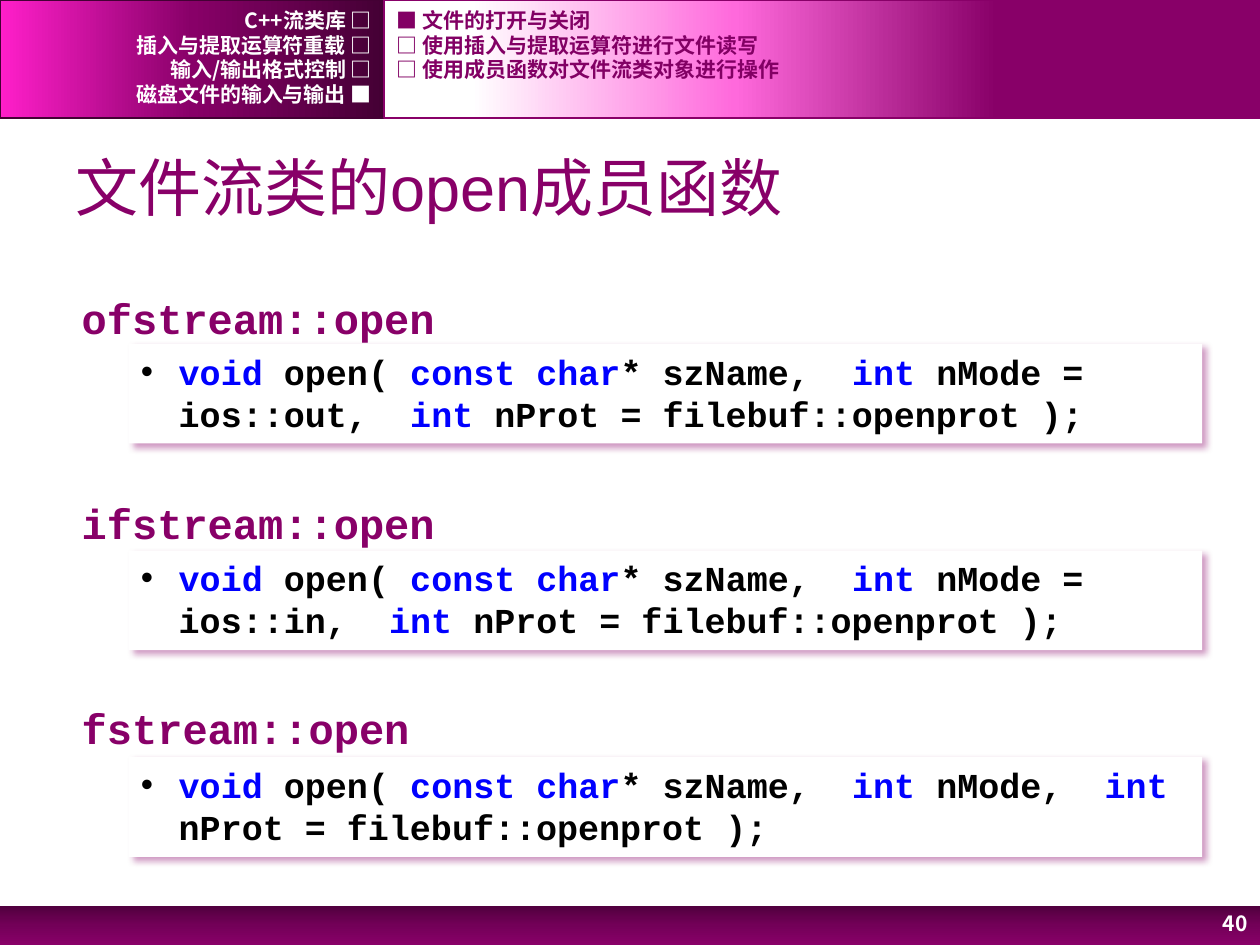
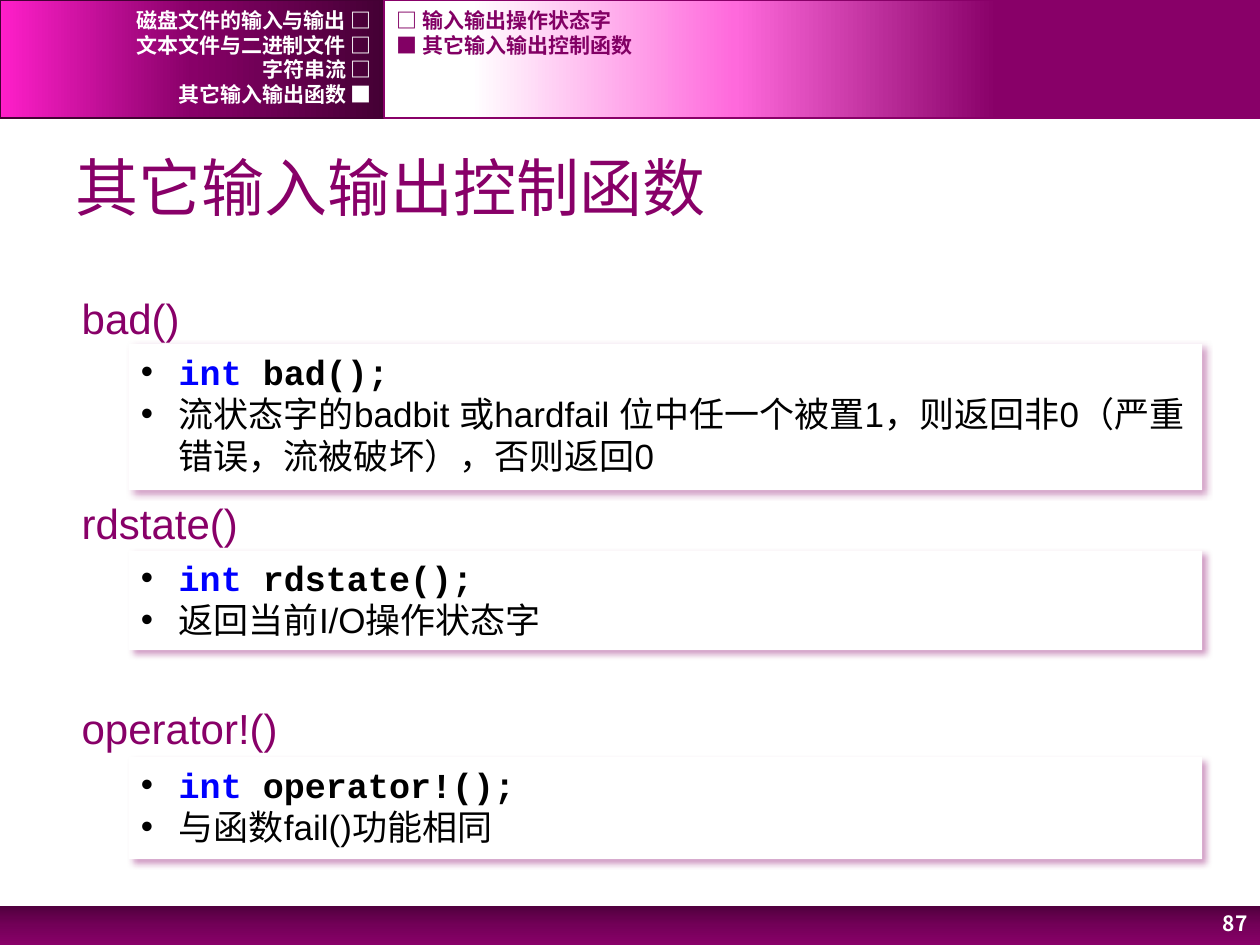
from dataclasses import dataclass
from itertools import cycle
from typing import NamedTuple

from lxml import etree
from pptx import Presentation
from pptx.dml.color import RGBColor
from pptx.enum.shapes import MSO_SHAPE
from pptx.enum.text import MSO_ANCHOR, MSO_AUTO_SIZE, PP_ALIGN
from pptx.oxml.ns import qn
from pptx.util import Emu, Pt

EMU_PER_PX = 9144  # 100 px to the inch

RECTANGLE = MSO_SHAPE.RECTANGLE
TOP, MIDDLE = MSO_ANCHOR.TOP, MSO_ANCHOR.MIDDLE
LEFT, RIGHT = PP_ALIGN.LEFT, PP_ALIGN.RIGHT
GROW = MSO_AUTO_SIZE.SHAPE_TO_FIT_TEXT

PLUM = RGBColor(0x88, 0x00, 0x68)
TOPIC_PLUM = RGBColor(0x82, 0x00, 0x64)
DEEP_PLUM = RGBColor(0x44, 0x00, 0x34)
FOOTER_DARK = RGBColor(0x51, 0x00, 0x3E)
FOOTER_MID = RGBColor(0x73, 0x00, 0x58)
MAGENTA = RGBColor(0xFF, 0x1F, 0xCA)
PINK = RGBColor(0xFF, 0x69, 0xDC)
KEYWORD_BLUE = RGBColor(0x00, 0x00, 0xFF)
BLACK = RGBColor(0x00, 0x00, 0x00)
WHITE = RGBColor(0xFF, 0xFF, 0xFF)

SANS, MONO, CJK = "Arial", "Courier New", "Noto Sans CJK SC"


class Box(NamedTuple):
    left: int
    top: int
    width: int
    height: int


class Run(NamedTuple):
    text: str
    color: RGBColor
    font: str = SANS
    bold: bool = False


class Band(NamedTuple):
    box: Box
    stops: tuple[tuple[int, RGBColor], ...]
    angle: int
    outline: RGBColor | None = None


@dataclass(frozen=True)
class Member:
    """A function's heading and the card that explains it."""
    name: str
    name_width: int
    code: tuple[str, ...]
    meaning: str = ""
    card_height: int = 79


@dataclass(frozen=True)
class Page:
    number: int
    title: str
    chapters: tuple[str, ...]
    current_chapter: int
    topics: tuple[str, ...]
    current_topic: int
    members: tuple[Member, ...]
    name_font: str
    name_bold: bool


BANDS = (
    Band(Box(0, 719, 1000, 31),
         ((0, FOOTER_DARK), (50, FOOTER_MID), (100, PLUM)), 90),
    Band(Box(0, 0, 305, 94),
         ((0, DEEP_PLUM), (50, PLUM), (100, MAGENTA)), 180, DEEP_PLUM),
    Band(Box(305, 0, 695, 94),
         ((30, PLUM), (60, PINK), (90, WHITE)), 180, PLUM),
)


def open_signature(mode: str) -> tuple[str, ...]:
    return ("void", " open( ", "const char", "* szName,  ", "int ",
            f"{mode},  ", "int ", "nProt = filebuf::openprot );")


PAGES = (
    Page(
        40, "文件流类的open成员函数",
        ("C++流类库", "插入与提取运算符重载", "输入/输出格式控制", "磁盘文件的输入与输出"), 3,
        ("文件的打开与关闭", "使用插入与提取运算符进行文件读写",
         "使用成员函数对文件流类对象进行操作"), 0,
        (
            Member("ofstream::open", 302, open_signature("nMode = ios::out")),
            Member("ifstream::open", 302, open_signature("nMode = ios::in")),
            Member("fstream::open", 282, open_signature("nMode")),
        ),
        MONO, True,
    ),
    Page(
        87, "其它输入输出控制函数",
        ("磁盘文件的输入与输出", "文本文件与二进制文件", "字符串流", "其它输入输出函数"), 3,
        ("输入输出操作状态字", "其它输入输出控制函数"), 1,
        (
            Member("bad()", 99, ("int", " bad();"),
                   "流状态字的badbit 或hardfail 位中任一个被置1，则返回非0"
                   "（严重错误，流被破坏），否则返回0", 116),
            Member("rdstate()", 146, ("int ", "rdstate();"),
                   "返回当前I/O操作状态字"),
            Member("operator!()", 177, ("int", " operator!();"),
                   "与函数fail()功能相同", 81),
        ),
        SANS, False,
    ),
)


def px(length: int) -> Emu:
    return Emu(length * EMU_PER_PX)


def add_color(parent, color: RGBColor):
    return etree.SubElement(parent, qn("a:srgbClr"), val=str(color))


def write(shape, paragraphs: list[list[Run]], *, size: int, align=LEFT,
          anchor=TOP, wrap: bool = True, hanging: int = 0,
          bullet: str = "", before_percent: int = 0) -> None:
    frame = shape.text_frame
    frame.word_wrap = wrap
    frame.vertical_anchor = anchor
    if not wrap:
        frame.auto_size = GROW
    for index, runs in enumerate(paragraphs):
        paragraph = frame.add_paragraph() if index else frame.paragraphs[0]
        paragraph.alignment = align
        properties = paragraph._p.get_or_add_pPr()
        if hanging:
            properties.set("marL", str(px(hanging)))
            properties.set("indent", str(px(-hanging)))
        if before_percent:
            before = etree.SubElement(properties, qn("a:spcBef"))
            etree.SubElement(before, qn("a:spcPct"),
                             val=str(before_percent * 1000))
        if bullet:
            add_color(etree.SubElement(properties, qn("a:buClr")), BLACK)
            etree.SubElement(properties, qn("a:buFont"), typeface=SANS)
            etree.SubElement(properties, qn("a:buChar"), char=bullet)
        for part in runs:
            run = paragraph.add_run()
            run.text = part.text
            run.font.size = Pt(size)
            run.font.bold = part.bold
            run.font.name = part.font
            run.font.color.rgb = part.color
            etree.SubElement(run._r.get_or_add_rPr(), qn("a:ea"), typeface=CJK)


def add_text(slide, box: Box, run: Run, **text_format) -> None:
    label = slide.shapes.add_textbox(*map(px, box))
    write(label, [[run]], **text_format)


def add_rectangle(slide, box: Box):
    rectangle = slide.shapes.add_shape(RECTANGLE, *map(px, box))
    rectangle.shadow.inherit = False
    rectangle.line.fill.background()
    return rectangle


def draw_band(slide, band: Band) -> None:
    shape = add_rectangle(slide, band.box)
    shape.fill.gradient()
    gradient = shape._element.spPr.find(qn("a:gradFill"))
    stops = gradient.find(qn("a:gsLst"))
    for default_stop in list(stops):
        stops.remove(default_stop)
    for position, color in band.stops:
        add_color(etree.SubElement(stops, qn("a:gs"),
                                   pos=str(position * 1000)), color)
    gradient.find(qn("a:lin")).set("ang", str(band.angle * 60000))
    if band.outline is not None:
        shape.line.color.rgb = band.outline
        shape.line.width = Pt(1)


def add_card_shadow(card) -> None:
    effects = card._element.spPr.find(qn("a:effectLst"))
    shadow = etree.SubElement(
        effects, qn("a:outerShdw"), blurRad=str(Pt(4)), dist=str(Pt(3)),
        dir=str(45 * 60000), algn="tl", rotWithShape="0")
    etree.SubElement(add_color(shadow, PLUM), qn("a:alpha"), val="40000")


def draw_member(slide, member: Member, row: int, page: Page) -> None:
    card = add_rectangle(slide, Box(102, 273 + 164 * row, 852, member.card_height))
    card.fill.solid()
    card.fill.fore_color.rgb = WHITE
    add_card_shadow(card)
    # Code segments alternate between keyword and plain text.
    lines = [[Run(text, color, MONO, True) for text, color
              in zip(member.code, cycle((KEYWORD_BLUE, BLACK)))]]
    if member.meaning:
        lines.append([Run(member.meaning, BLACK)])
    write(card, lines, size=20, hanging=30, bullet="•")
    add_text(slide, Box(55, 227 + 163 * row, member.name_width, 50),
             Run(member.name, PLUM, page.name_font, page.name_bold),
             size=24, wrap=False, hanging=38, before_percent=20)


def draw_navigation(slide, page: Page) -> None:
    def row_box(left: int, width: int, row: int) -> Box:
        return Box(left, round(6 + 19.6 * row), width, 20)

    def mark(row: int, current: int) -> str:
        return "■" if row == current else "□"

    for row, chapter in enumerate(page.chapters):
        add_text(slide, row_box(0, 305, row),
                 Run(f"{chapter} {mark(row, page.current_chapter)}",
                     WHITE, CJK, True),
                 size=12, align=RIGHT, anchor=MIDDLE)
    for row, topic in enumerate(page.topics):
        add_text(slide, row_box(305, 602, row),
                 Run(f"{mark(row, page.current_topic)} {topic}",
                     TOPIC_PLUM, CJK, True),
                 size=12, anchor=MIDDLE)


def draw_page(slide, page: Page) -> None:
    for band in BANDS:
        draw_band(slide, band)
    add_text(slide, Box(50, 109, 900, 78), Run(page.title, PLUM),
             size=36, anchor=MIDDLE)
    add_text(slide, Box(918, 716, 82, 34),
             Run(str(page.number), WHITE, CJK, True),
             size=12, align=RIGHT, anchor=MIDDLE)
    for row, member in enumerate(page.members):
        draw_member(slide, member, row, page)
    draw_navigation(slide, page)


def main() -> None:
    deck = Presentation()
    deck.slide_width, deck.slide_height = px(1000), px(750)
    blank = deck.slide_layouts[6]
    for page in PAGES:
        draw_page(deck.slides.add_slide(blank), page)
    deck.save("out.pptx")


if __name__ == "__main__":
    main()
